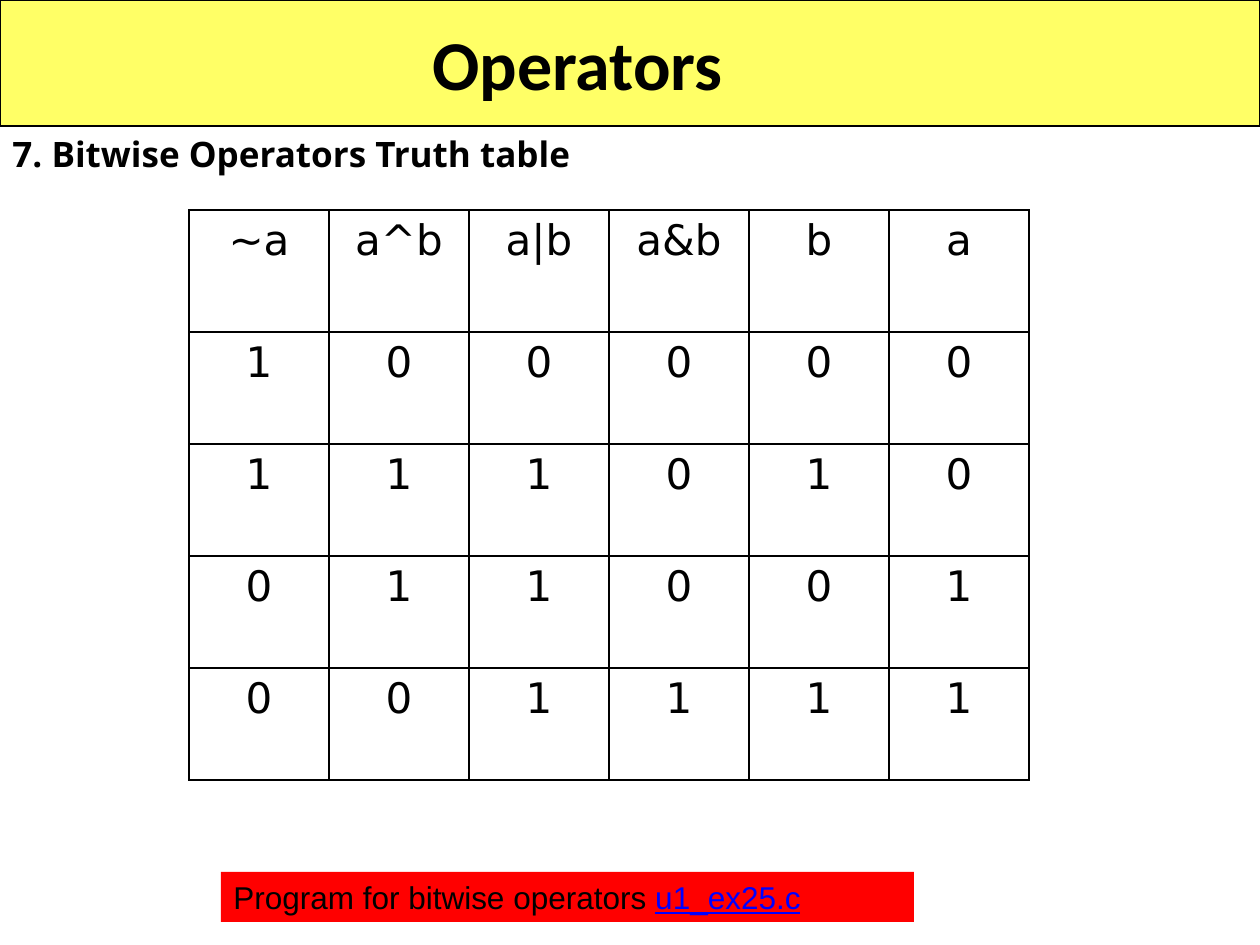
import pptx
import pptx.util
import pptx.dml.color
import pptx.enum.shapes
import pptx.enum.text
import pptx.oxml
import pptx.oxml.ns

PX = 914400 // 126
ALIGN = pptx.enum.text.PP_ALIGN
ANCHOR = pptx.enum.text.MSO_ANCHOR
BLACK = "000000"


def color(code):
    return pptx.dml.color.RGBColor.from_string(code)


class Page:
    """Current slide and its style."""

    def __init__(self, deck):
        self.slide = deck.slides.add_slide(deck.slide_layouts[6])

    def font(self, target, name, size, bold=False):
        target.name = name
        target.size = pptx.util.Pt(size)
        target.bold = bold
        target.color.rgb = color(BLACK)

    def bar(self, area, fill, text, name, size, bold=False, line=None,
            align=ALIGN.LEFT, anchor=ANCHOR.TOP, right=13):
        box = self.slide.shapes.add_shape(
            pptx.enum.shapes.MSO_SHAPE.RECTANGLE, *(n * PX for n in area))
        box.shadow.inherit = False
        box.fill.solid()
        box.fill.fore_color.rgb = color(fill)
        if line:
            box.line.color.rgb = color(line)
            box.line.width = pptx.util.Pt(0.75)
        else:
            box.line.fill.background()
        frame = box.text_frame
        frame.word_wrap = True
        frame.vertical_anchor = anchor
        frame.margin_right = right * PX
        para = frame.paragraphs[0]
        para.alignment = align
        para.add_run().text = text
        self.font(para.font, name, size, bold)
        return para

    def border(self, cell):
        props = cell._tc.get_or_add_tcPr()
        for index, side in enumerate(("lnL", "lnR", "lnT", "lnB")):
            props.insert(index, pptx.oxml.parse_xml(
                f'<a:{side} {pptx.oxml.ns.nsdecls("a")} w="12700"><a:solidFill>'
                f'<a:srgbClr val="{BLACK}"/></a:solidFill></a:{side}>'))

    def table(self, left, top, column, heights, rows):
        count = len(rows[0])
        table = self.slide.shapes.add_table(
            len(rows), count, left * PX, top * PX,
            column * count * PX, sum(heights) * PX).table
        table.first_row = table.horz_banding = False
        for item in table.columns:
            item.width = column * PX
        for item, height, values in zip(table.rows, heights, rows):
            item.height = height * PX
            for cell, value in zip(item.cells, values):
                cell.text = value
                cell.fill.background()
                para = cell.text_frame.paragraphs[0]
                para.alignment = ALIGN.CENTER
                self.font(para.font, "DejaVu Sans", 24)
                self.border(cell)


def main():
    deck = pptx.Presentation()
    deck.slide_width = 1260 * PX
    deck.slide_height = 945 * PX
    page = Page(deck)

    # Heading
    page.bar((0, 126, 662, 54), "FFFFFF", "7. Bitwise Operators Truth table",
             "Noto Sans", 20, bold=True)

    # Truth table, with the inputs in the last two columns
    rows = [["~a", "a^b", "a|b", "a&b", "b", "a"]]
    for a in (0, 1):
        for b in (0, 1):
            rows.append([str(bit) for bit in (1 - a, a ^ b, a | b, a & b, b, a)])
    page.table(189, 210, 140, [122] + [112] * 4, rows)

    # Program reference
    para = page.bar((221, 872, 693, 50), "FF0000",
                    "Program for bitwise operators ", "Arial", 18)
    span = para.add_run()
    span.text = "u1_ex25.c"
    span.font.underline = True
    span.font.color.rgb = color("0000FF")

    # Title band, its text a little left of centre
    page.bar((0, 0, 1260, 126), "FFFF66", "Operators", "Calibri", 40, bold=True,
             line=BLACK, align=ALIGN.CENTER, anchor=ANCHOR.MIDDLE, right=117)

    deck.save("out.pptx")


if __name__ == "__main__":
    main()
